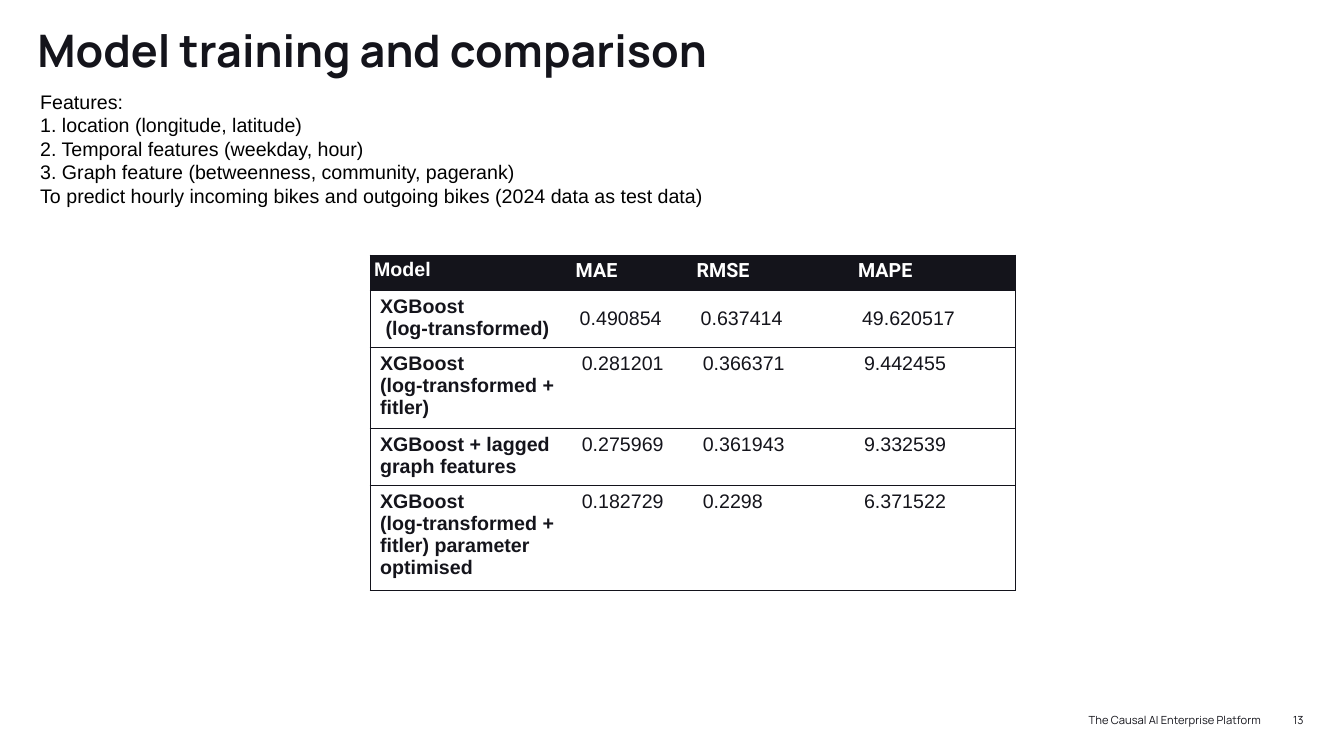
from pptx import Presentation
from pptx.dml.color import RGBColor
from pptx.enum.text import MSO_ANCHOR, PP_ALIGN
from pptx.oxml import parse_xml
from pptx.oxml.ns import nsdecls
from pptx.util import Inches, Pt

TITLE = "Model training and comparison"
FEATURES = [
    "Features:",
    "1. location (longitude, latitude)",
    "2. Temporal features (weekday, hour)",
    "3. Graph feature (betweenness, community, pagerank)",
    "To predict hourly incoming bikes and outgoing bikes (2024 data as test data)",
]
FOOTER = [("The Causal AI Enterprise Platform", 8.88, 3.63), ("13", 12.41, 0.52)]
HEADER = ("Model", "MAE", "RMSE", "MAPE")
RESULTS = [
    ("XGBoost\n (log-transformed)", "0.490854", "0.637414", "49.620517"),
    ("XGBoost\n(log-transformed + fitler)", "0.281201", "0.366371", "9.442455"),
    ("XGBoost + lagged graph features", "0.275969", "0.361943", "9.332539"),
    ("XGBoost\n(log-transformed + fitler) parameter\noptimised",
     "0.182729", "0.2298", "6.371522"),
]
COL_WIDTHS = (2, 1.2, 1.6, 1.6)
ROW_HEIGHTS = (0.35, 0.57, 0.8, 0.57, 1.04)
INK, RULE, WHITE, BLACK = "14141B", "13131B", "FFFFFF", "000000"


def color(value):
    return RGBColor.from_string(value)


def write(tf, text, size, font, ink, bold=False, align=None):
    tf.text = text
    for p in tf.paragraphs:
        if align is not None:
            p.alignment = align
        for r in p.runs:
            r.font.size, r.font.name, r.font.bold = Pt(size), font, bold
            r.font.color.rgb = color(ink)


def set_margins(box, x, y):
    box.margin_left = box.margin_right = Inches(x)
    box.margin_top = box.margin_bottom = Inches(y)


def add_text(left, top, width, height):
    tf = s.shapes.add_textbox(*map(Inches, (left, top, width, height))).text_frame
    tf.word_wrap = True
    return tf


def set_borders(cell, **edges):
    """Draw the named edges (L, R, T, B) and clear the others."""
    tcPr = cell._tc.get_or_add_tcPr()
    for i, side in enumerate("LRTB"):
        fill = (f'<a:solidFill><a:srgbClr val="{RULE}"/></a:solidFill>'
                if edges[side] else "<a:noFill/>")
        tcPr.insert(i, parse_xml(
            f'<a:ln{side} {nsdecls("a")} w="{Pt(0.75)}">{fill}</a:ln{side}>'))


prs = Presentation()
prs.slide_width, prs.slide_height = Inches(13.33), Inches(7.5)
s = prs.slides.add_slide(prs.slide_layouts[5])

# Title
title = s.shapes.title
title.left, title.top, title.width, title.height = map(Inches, (0.37, 0.29, 12.37, 1.02))
tf = title.text_frame
write(tf, TITLE, 32, "Manrope", INK, True, PP_ALIGN.LEFT)
set_margins(tf, 0, 0)
tf.vertical_anchor = MSO_ANCHOR.TOP
tf.paragraphs[0].line_spacing = 0.9

# Feature list
write(add_text(0.3, 0.84, 7.01, 1.28), "\n".join(FEATURES), 14, "Arial", BLACK)

# Footer and slide number
for text, left, width in FOOTER:
    tf = add_text(left, 7.08, width, 0.2)
    set_margins(tf, 0, 0)
    write(tf, text, 8, "Manrope", INK, align=PP_ALIGN.RIGHT)

# Results table
rows = [HEADER] + RESULTS
table = s.shapes.add_table(
    len(rows), len(HEADER), Inches(3.67), Inches(2.53),
    Inches(sum(COL_WIDTHS)), Inches(sum(ROW_HEIGHTS))).table
table.first_row = table.horz_banding = False
for column, width in zip(table.columns, COL_WIDTHS):
    column.width = Inches(width)
for i, (values, height) in enumerate(zip(rows, ROW_HEIGHTS)):
    table.rows[i].height = Inches(height)
    for j, value in enumerate(values):
        cell = table.cell(i, j)
        is_header, is_model = i == 0, j == 0
        font = "Roboto" if is_header and not is_model else "Arial"
        write(cell.text_frame, value, 14, font, WHITE if is_header else INK,
              is_header or is_model)
        if is_header:
            set_margins(cell, 0.04, 0.04)
            cell.fill.solid()
            cell.fill.fore_color.rgb = color(INK)
        else:
            cell.fill.background()
        if i == 1 and not is_model:
            set_margins(cell, 0.08, 0.04)
            cell.vertical_anchor = MSO_ANCHOR.MIDDLE
        set_borders(cell, L=is_model, R=j == len(HEADER) - 1, T=True, B=True)

prs.save("out.pptx")
